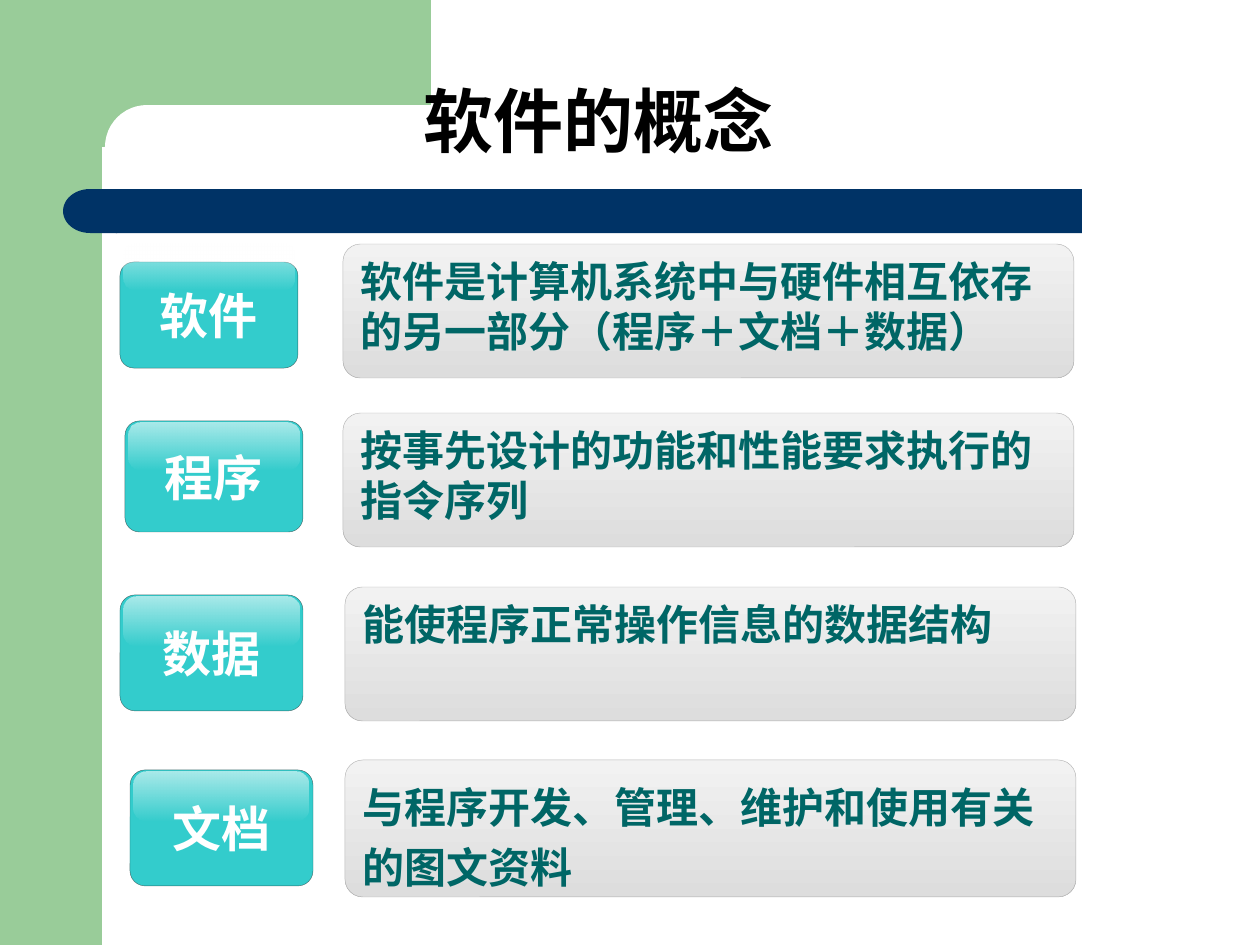
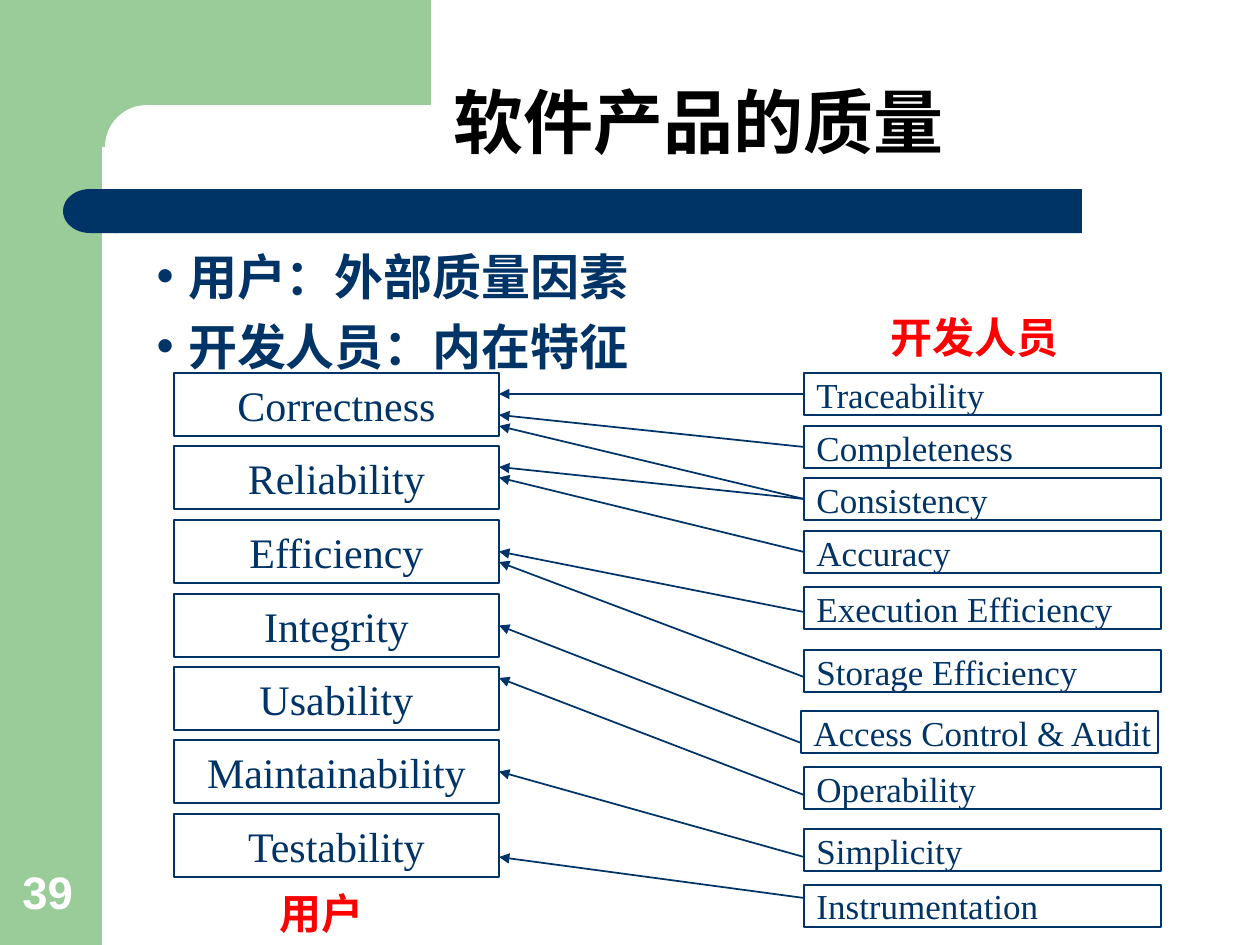
from lxml.etree import SubElement
from pptx import Presentation
from pptx.dml.color import RGBColor
from pptx.enum.shapes import MSO_CONNECTOR, MSO_SHAPE
from pptx.enum.text import MSO_ANCHOR, MSO_AUTO_SIZE, PP_ALIGN
from pptx.oxml.ns import qn
from pptx.util import Emu, Inches, Pt

PX = 914400 / 126
COLORS = {
    "green": "99CC99", "navy": "003366", "white": "FFFFFF", "black": "000000",
    "teal": "006666", "aqua": "33CCCC", "red": "FF0000", "label_edge": "1C1C1C",
    "card_top": "F2F2F2", "card_bottom": "DDDDDD", "card_edge": "969696",
}

# Term, label box, card position and height, card line spacing, gloss offset
CONCEPTS = [
    ("软件", (120, 262, 178, 106), (343, 244, 134), 1.0, -18,
     "软件是计算机系统中与硬件相互依存的另一部分（程序＋文档＋数据）"),
    ("程序", (125, 421, 178, 111), (343, 413, 134), 1.0, 2,
     "按事先设计的功能和性能要求执行的指令序列"),
    ("数据", (120, 595, 183, 116), (345, 587, 134), 1.0, 2,
     "能使程序正常操作信息的数据结构"),
    ("文档", (130, 770, 183, 116), (345, 760, 137), 1.2, 2,
     "与程序开发、管理、维护和使用有关的图文资料"),
]
FACTORS = ["Correctness", "Reliability", "Efficiency", "Integrity",
           "Usability", "Maintainability", "Testability"]
# Criterion: left, top
CRITERIA = {
    "Traceability": (804, 373), "Completeness": (804, 426),
    "Consistency": (804, 478), "Accuracy": (804, 531),
    "Execution Efficiency": (804, 587), "Storage Efficiency": (804, 650),
    "Access Control & Audit": (801, 711), "Operability": (804, 767),
    "Simplicity": (804, 829), "Instrumentation": (804, 885),
}
# Criterion, height of the arrow's start, factor, height of its end
LINKS = [
    ("Traceability", 394, "Correctness", 394),
    ("Completeness", 447, "Correctness", 415),
    ("Consistency", 499, "Correctness", 426),
    ("Consistency", 499, "Reliability", 467),
    ("Accuracy", 552, "Reliability", 478),
    ("Execution Efficiency", 612, "Efficiency", 552),
    ("Storage Efficiency", 677, "Efficiency", 562),
    ("Access Control & Audit", 743, "Integrity", 625),
    ("Operability", 795, "Usability", 678),
    ("Simplicity", 857, "Maintainability", 772),
    ("Instrumentation", 898, "Testability", 857),
]


def px(length):
    return Emu(round(length * PX))


def rgb(name):
    return RGBColor.from_string(COLORS[name])


def set_alpha(parent, percents):
    """Give the colours under parent their opacity, in order."""
    for color, percent in zip(parent.iter(qn("a:srgbClr")), percents):
        SubElement(color, qn("a:alpha")).set("val", str(percent * 1000))


def write(shape, text, size, color, bold=True, font="Arial", align=PP_ALIGN.LEFT,
          anchor=MSO_ANCHOR.TOP, wrap=True, spacing=1.0):
    frame = shape.text_frame
    frame.text = text
    frame.word_wrap = wrap
    frame.auto_size = MSO_AUTO_SIZE.NONE
    frame.vertical_anchor = anchor
    for paragraph in frame.paragraphs:
        paragraph.alignment = align
        paragraph.line_spacing = spacing
        paragraph.space_before = Pt(0)
        for run in paragraph.runs:
            run.font.size = Pt(size)
            run.font.name = font
            run.font.bold = bold
            run.font.color.rgb = rgb(color)


def add_box(slide, kind, box, fill=None, gradient=None, edge=None, edge_width=1,
            corner=None):
    shape = slide.shapes.add_shape(kind, *map(px, box))
    shape.shadow.inherit = False
    if corner is not None:
        shape.adjustments[0] = corner
    if gradient:
        shape.fill.gradient()
        shape.fill.gradient_angle = 270
        for stop, color in zip(shape.fill.gradient_stops, gradient):
            stop.color.rgb = rgb(color)
    else:
        shape.fill.solid()
        shape.fill.fore_color.rgb = rgb(fill)
    if edge:
        shape.line.color.rgb = rgb(edge)
        shape.line.width = Pt(edge_width)
    else:
        shape.line.fill.background()
    return shape


def add_label(slide, box, text, size, color, anchor=MSO_ANCHOR.TOP):
    label = slide.shapes.add_textbox(*map(px, box))
    write(label, text, size, color, anchor=anchor)


def place(shape, box):
    shape.left, shape.top, shape.width, shape.height = map(px, box)


def set_title(slide, text, box, indent=13):
    title = slide.shapes.title
    place(title, box)
    write(title, text, 40, "black", font="Noto Sans Mono",
          anchor=MSO_ANCHOR.BOTTOM, spacing=0.9)
    title.text_frame.margin_left = px(indent)


def add_master_bands(prs, slide):
    """Draw the bands once and move them behind everything on the master."""
    rounded = MSO_SHAPE.ROUNDED_RECTANGLE
    bar_cap = add_box(slide, MSO_SHAPE.FLOWCHART_DELAY, (63, 189, 54, 44), "navy")
    bar_cap.rotation = 180
    bands = [
        add_box(slide, MSO_SHAPE.RECTANGLE, (0, 0, 102, 945), "green"),
        add_box(slide, MSO_SHAPE.RECTANGLE, (92, 0, 339, 147), "green"),
        add_box(slide, rounded, (105, 105, 703, 84), "white", corner=0.5),
        add_box(slide, rounded, (116, 189, 966, 44), "navy", corner=0),
        bar_cap,
    ]
    tree = prs.slide_master.element.cSld.spTree
    for position, band in enumerate(bands, start=2):
        tree.insert(position, band.element)


def add_concept(slide, term, label_box, card_place, spacing, gloss_offset, meaning):
    rounded = MSO_SHAPE.ROUNDED_RECTANGLE
    # Glossy label
    label = add_box(slide, rounded, label_box, "aqua", edge="label_edge",
                    edge_width=0.25, corner=0.13)
    set_alpha(label.element.spPr.find(qn("a:ln")), [57])
    write(label, term, 28, "white", align=PP_ALIGN.CENTER, anchor=MSO_ANCHOR.MIDDLE)
    left, top, width, height = label_box
    gloss = add_box(slide, rounded,
                    (left + 4, top + gloss_offset, width - 8, round(height * 0.42)),
                    gradient=("white", "white"), corner=0.26)
    set_alpha(gloss.element.spPr, [59, 0])
    # Explanation card
    card_left, card_top, card_height = card_place
    card = add_box(slide, rounded, (card_left, card_top, 731, card_height),
                   gradient=("card_top", "card_bottom"), edge="card_edge",
                   edge_width=0.25, corner=0.13)
    set_alpha(card.element.spPr.find(qn("a:ln")), [67])
    write(card, meaning, 24, "teal", spacing=spacing)


def add_quality_box(slide, box, text, size, align):
    shape = add_box(slide, MSO_SHAPE.RECTANGLE, box, "white", edge="navy")
    write(shape, text, size, "navy", bold=False, font="Times New Roman",
          align=align, anchor=MSO_ANCHOR.MIDDLE, wrap=False)
    return shape


def is_middle(shape, y):
    return abs(shape.top + shape.height / 2 - px(y)) <= px(1)


def add_arrow(slide, criterion, start_y, factor, end_y):
    arrow = slide.shapes.add_connector(
        MSO_CONNECTOR.STRAIGHT, criterion.left, px(start_y),
        factor.left + factor.width, px(end_y))
    if is_middle(criterion, start_y):
        arrow.begin_connect(criterion, 1)
    if is_middle(factor, end_y):
        arrow.end_connect(factor, 3)
    arrow.line.color.rgb = rgb("navy")
    arrow.line.width = Pt(1)
    SubElement(arrow.line._get_or_add_ln(), qn("a:tailEnd")).set("type", "triangle")
    SubElement(arrow.element.spPr, qn("a:effectLst"))


def add_viewpoints(slide, lines):
    viewpoints = slide.placeholders[1]
    place(viewpoints, (144, 234, 700, 138))
    write(viewpoints, "\n".join(lines), 28, "navy", spacing=1.1)
    for paragraph in viewpoints.text_frame.paragraphs:
        properties = paragraph._p.get_or_add_pPr()
        properties.set("marL", str(Inches(0.25)))
        properties.set("indent", str(-Inches(0.25)))
    viewpoints.text_frame.paragraphs[1].space_before = Pt(3.3)


def build_concepts(slide):
    set_title(slide, "软件的概念", (126, 53, 1102, 116), indent=298)
    for concept in CONCEPTS:
        add_concept(slide, *concept)


def build_quality(slide):
    add_label(slide, (10, 857, 81, 68), "39", 26, "white", MSO_ANCHOR.BOTTOM)
    set_title(slide, "软件产品的质量", (441, 54, 800, 116))
    add_viewpoints(slide, ["用户：外部质量因素", "开发人员：内在特征"])
    # External factors on the left, internal criteria on the right
    factors = {
        name: add_quality_box(slide, (174, round(373 + 73.5 * row), 325, 63),
                              name, 24, PP_ALIGN.CENTER)
        for row, name in enumerate(FACTORS)
    }
    criteria = {
        name: add_quality_box(slide, (left, top, 357, 42), name, 20, PP_ALIGN.LEFT)
        for name, (left, top) in CRITERIA.items()
    }
    for criterion, start_y, factor, end_y in LINKS:
        add_arrow(slide, criteria[criterion], start_y, factors[factor], end_y)
    add_label(slide, (267, 881, 159, 63), "用户", 24, "red")
    add_label(slide, (878, 305, 205, 63), "开发人员", 24, "red")


def main():
    prs = Presentation()
    prs.slide_width, prs.slide_height = Inches(10), Inches(7.5)
    concepts = prs.slides.add_slide(prs.slide_layouts[5])
    add_master_bands(prs, concepts)
    build_concepts(concepts)
    build_quality(prs.slides.add_slide(prs.slide_layouts[1]))
    prs.save("out.pptx")


if __name__ == "__main__":
    main()
